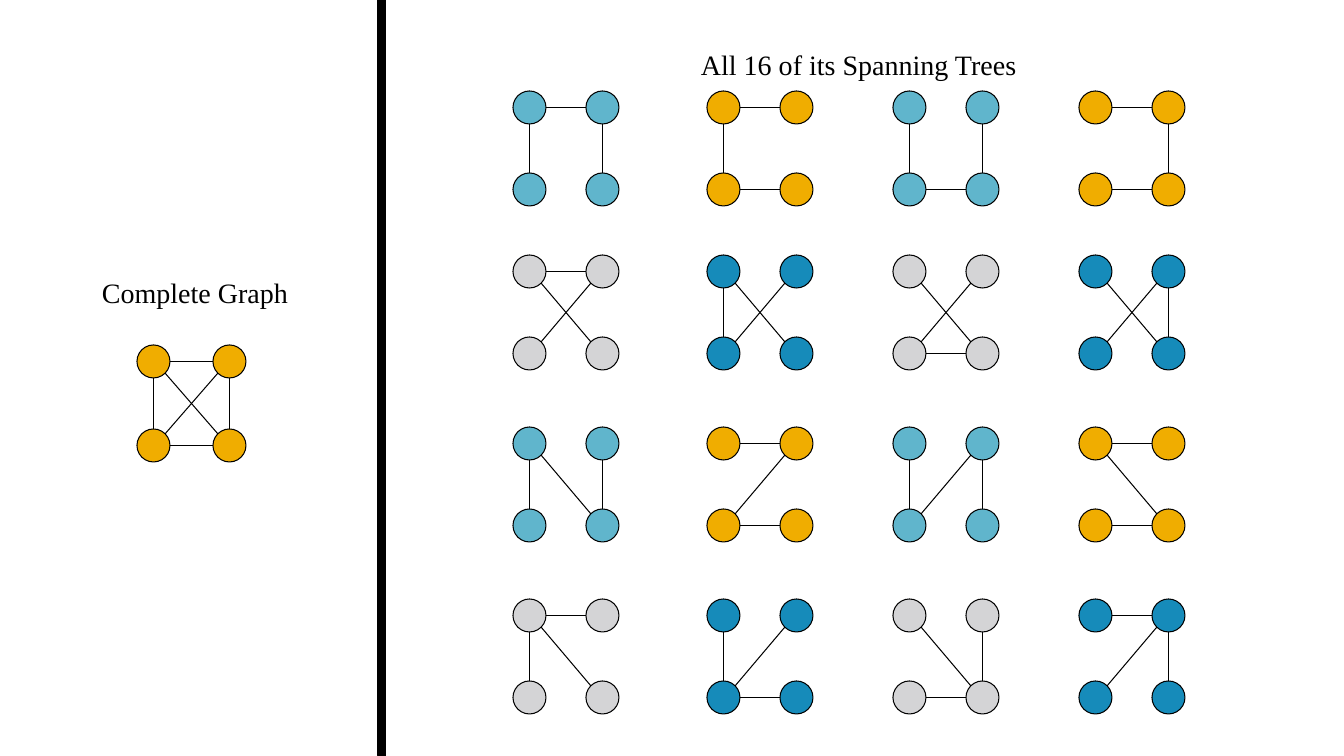
from math import sqrt

from lxml import etree
from pptx import Presentation
from pptx.dml.color import RGBColor
from pptx.enum.shapes import MSO_CONNECTOR, MSO_SHAPE
from pptx.enum.text import PP_ALIGN
from pptx.oxml.ns import qn
from pptx.util import Pt

PX = 914400 / 100.8
STRAIGHT = MSO_CONNECTOR.STRAIGHT
ELLIPSE = MSO_SHAPE.OVAL
RECTANGLE = MSO_SHAPE.RECTANGLE
LEFT = PP_ALIGN.LEFT

BLACK = RGBColor(0x00, 0x00, 0x00)
AMBER = RGBColor(0xF0, 0xAD, 0x00)
SKY = RGBColor(0x60, 0xB5, 0xCC)
GREY = RGBColor(0xD4, 0xD4, 0xD6)
BLUE = RGBColor(0x16, 0x8B, 0xBA)

NODE = 33
CORNERS = [(0, 0), (1, 0), (0, 1), (1, 1)]
EDGES = {
    "top": ((0, 0), (1, 0)),
    "left": ((0, 0), (0, 1)),
    "right": ((1, 0), (1, 1)),
    "bottom": ((0, 1), (1, 1)),
    "rising": ((1, 0), (0, 1)),
    "falling": ((0, 0), (1, 1)),
}
TREE_COLUMNS = [513, 707, 893, 1079]
TREE_ROWS = [91, 255, 427, 599]
ROW_COLOURS = [(SKY, AMBER), (GREY, BLUE)]
SPANNING_TREES = [
    ["top left right", "top left bottom", "left bottom right", "top right bottom"],
    ["top rising falling", "left rising falling",
     "bottom rising falling", "right rising falling"],
    ["left right falling", "top bottom rising",
     "left right rising", "top bottom falling"],
    ["top left falling", "left bottom rising",
     "bottom right falling", "top right rising"],
]


def emu(*lengths):
    return [round(length * PX) for length in lengths]


def add_text(slide, box, text, size=20, font="Times New Roman", colour=BLACK, align=LEFT):
    frame = slide.shapes.add_textbox(*emu(*box)).text_frame
    frame.word_wrap = True
    paragraph = frame.paragraphs[0]
    paragraph.alignment = align
    run = paragraph.add_run()
    run.text = text
    run.font.size = Pt(size)
    run.font.name = font
    run.font.color.rgb = colour


def add_outlined(slide, kind, box, fill):
    shape = slide.shapes.add_shape(kind, *emu(*box))
    shape.shadow.inherit = False
    shape.fill.solid()
    shape.fill.fore_color.rgb = fill
    shape.line.color.rgb = BLACK
    shape.line.width = Pt(0.75)


def add_edge(slide, start, end):
    edge = slide.shapes.add_connector(STRAIGHT, *emu(*start, *end))
    edge.line.color.rgb = BLACK
    edge.line.width = Pt(0.75)
    etree.SubElement(edge.element.spPr, qn("a:effectLst"))


def add_graph(slide, box, edges, colour):
    left, top, width, height = box
    step_x, step_y = width - NODE, height - NODE
    radius = NODE / 2
    for column, row in CORNERS:
        node_box = (left + column * step_x, top + row * step_y, NODE, NODE)
        add_outlined(slide, ELLIPSE, node_box, colour)
    for name in edges:
        (x1, y1), (x2, y2) = EDGES[name]
        across, down = x2 - x1, y2 - y1
        reach = radius / sqrt(across ** 2 + down ** 2)
        start = (left + radius + x1 * step_x + across * reach,
                 top + radius + y1 * step_y + down * reach)
        end = (left + radius + x2 * step_x - across * reach,
               top + radius + y2 * step_y - down * reach)
        add_edge(slide, start, end)


def add_complete_graph(slide, box):
    left, top, width, height = box
    add_graph(slide, (left + 137, top + 345, 109, 117), EDGES, AMBER)
    add_text(slide, (left + 92, top + 271, 210, 41), "Complete Graph")


def add_spanning_trees(slide, box):
    left, top, width, height = box
    add_text(slide, (left + 313, top + 43, 340, 41), "All 16 of its Spanning Trees")
    for row, trees in enumerate(SPANNING_TREES):
        for column, edges in enumerate(trees):
            tree_box = (left + TREE_COLUMNS[column] - 378, top + TREE_ROWS[row], 106, 115)
            colour = ROW_COLOURS[row % 2][column % 2]
            add_graph(slide, tree_box, edges.split(), colour)


def main():
    presentation = Presentation()
    presentation.slide_width, presentation.slide_height = emu(1344, 756)
    slide = presentation.slides.add_slide(presentation.slide_layouts[6])
    add_complete_graph(slide, (0, 0, 378, 756))
    add_spanning_trees(slide, (378, 0, 966, 756))
    add_outlined(slide, RECTANGLE, (378, 0, 8, 756), BLACK)
    presentation.save("out.pptx")


if __name__ == "__main__":
    main()
